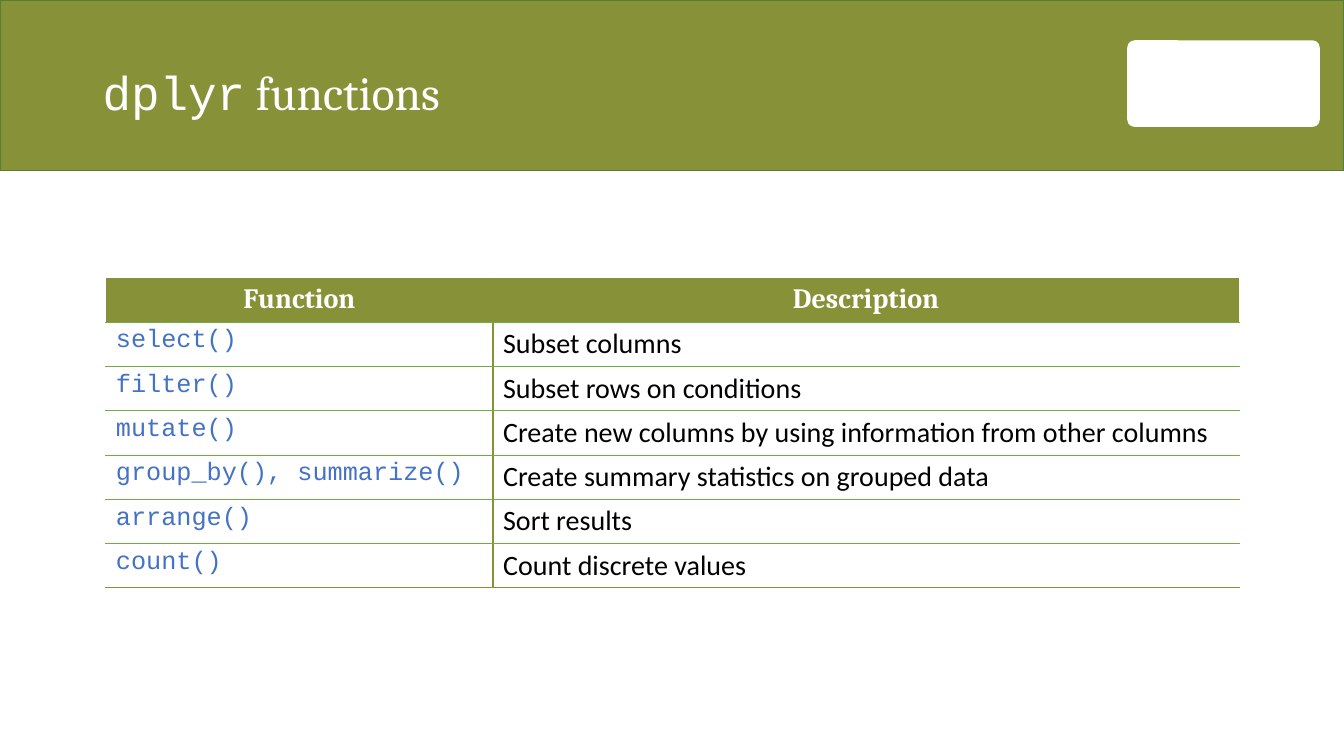
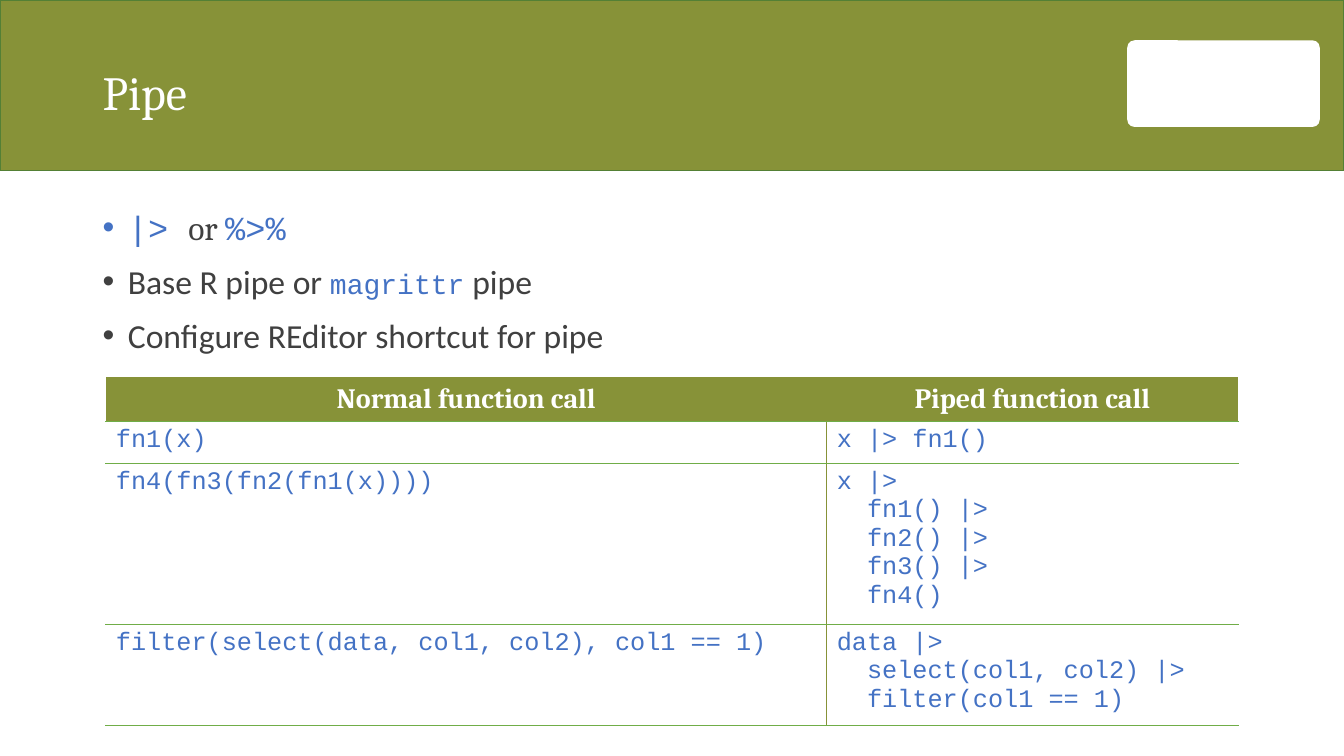
from pptx import Presentation as Deck
from pptx.dml.color import RGBColor as Rgb
from pptx.enum.shapes import MSO_SHAPE as Kind
from pptx.enum.text import MSO_ANCHOR as Anchor, PP_ALIGN as Align
from pptx.oxml.ns import qn
from pptx.util import Inches, Pt
from lxml.etree import SubElement as Sub

HUES = {
    "olive": "879238",
    "edge": "538035",
    "green": "70AD47",
    "blue": "4472C4",
    "gray": "404040",
    "white": "FFFFFF",
    "black": "000000",
}
SERIF, SANS, MONO = "Cambria", "Calibri", "Courier New"
TITLE = dict(font=SERIF, size=34, hue="white")
HEAD = dict(font=SERIF, size=20, hue="white", bold=True)
CODE = dict(font=MONO, size=18, hue="blue")
PLAIN = dict(font=SANS, size=20, hue="black")
BODY = dict(font=SANS, size=24, hue="gray")


def tint(name):
    return Rgb.from_string(HUES[name])


def write(par, text, font=SANS, size=20, hue="black", bold=False):
    run = par.add_run()
    run.text = text
    face = run.font
    face.name, face.size, face.bold = font, Pt(size), bold
    face.color.rgb = tint(hue)


def indent(par, left, first=0):
    props = par._p.get_or_add_pPr()
    props.set("marL", str(Inches(left)))
    props.set("indent", str(Inches(first)))
    return props


def border(cell, side, hue, width):
    line = Sub(cell._tc.get_or_add_tcPr(), qn("a:ln" + side), w=str(Pt(width)))
    fill = Sub(line, qn("a:solidFill"))
    Sub(fill, qn("a:srgbClr"), val=HUES[hue])


class Maker:
    def __init__(self):
        self.deck = Deck()
        self.deck.slide_width = Inches(13.33)
        self.deck.slide_height = Inches(7.5)
        self.slide = None

    def start(self, *title):
        self.slide = self.deck.slides.add_slide(self.deck.slide_layouts[6])
        self.block(Kind.RECTANGLE, 0, 0, 13.33, 1.69, "olive", "edge")
        card = self.block(Kind.ROUNDED_RECTANGLE, 11.18, 0.4, 1.91, 0.86, "white")
        card.adjustments[0] = 0.086
        frame = self.frame(0.92, 0.4, 10.01, 1.09)
        frame.vertical_anchor = Anchor.MIDDLE
        par = frame.paragraphs[0]
        par.line_spacing = 0.9
        for text, style in title:
            write(par, text, **style)

    def block(self, kind, x, y, w, h, fill, line=None):
        shape = self.slide.shapes.add_shape(
            kind, Inches(x), Inches(y), Inches(w), Inches(h))
        shape.shadow.inherit = False
        shape.fill.solid()
        shape.fill.fore_color.rgb = tint(fill)
        if line:
            shape.line.color.rgb = tint(line)
            shape.line.width = Pt(1)
        else:
            shape.line.fill.background()
        return shape

    def frame(self, x, y, w, h):
        box = self.slide.shapes.add_textbox(
            Inches(x), Inches(y), Inches(w), Inches(h))
        box.text_frame.word_wrap = True
        return box.text_frame

    def bullets(self, x, y, w, h, items):
        frame = self.frame(x, y, w, h)
        for i, runs in enumerate(items):
            par = frame.add_paragraph() if i else frame.paragraphs[0]
            par.space_before = Pt(10)
            props = indent(par, 0.25, -0.25)
            Sub(props, qn("a:buFont"), typeface="Arial")
            Sub(props, qn("a:buChar"), char="•")
            for text, style in runs:
                write(par, text, **style)

    def table(self, y, wide, high, rows, styles, foot):
        grid = self.slide.shapes.add_table(
            len(rows), len(wide), Inches(1.05), Inches(y),
            Inches(sum(wide)), Inches(sum(high))).table
        grid.first_row = grid.horz_banding = False
        for col, width in zip(grid.columns, wide):
            col.width = Inches(width)
        for row, height in zip(grid.rows, high):
            row.height = Inches(height)
        last = len(rows) - 1
        for r, row in enumerate(rows):
            for c, text in enumerate(row):
                cell = grid.cell(r, c)
                border(cell, "L" if c else "R", "olive", 1)
                border(cell, "T", *(("green", 0.5) if r else ("olive", 1)))
                border(cell, "B", *(foot if r == last else ("green", 0.5)))
                self.fill(cell, text, HEAD if r == 0 else styles[c], r == 0)

    def fill(self, cell, text, style, head):
        if head:
            cell.fill.solid()
            cell.fill.fore_color.rgb = tint("olive")
        else:
            cell.fill.background()
        frame = cell.text_frame
        for i, line in enumerate(text.split("\n")):
            par = frame.add_paragraph() if i else frame.paragraphs[0]
            if i:
                indent(par, 0.3)
            if head:
                par.alignment = Align.CENTER
            write(par, line, **style)


make = Maker()

make.start(("dplyr", {**TITLE, "font": MONO}), (" functions", TITLE))
verbs = [
    ("Function", "Description"),
    ("select()", "Subset columns"),
    ("filter()", "Subset rows on conditions"),
    ("mutate()", "Create new columns by using information from other columns"),
    ("group_by(), summarize()", "Create summary statistics on grouped data"),
    ("arrange()", "Sort results"),
    ("count()", "Count discrete values"),
]
make.table(2.76, [3.84, 7.4], [0.42] + [0.44] * 6, verbs,
           [CODE, PLAIN], ("olive", 1))

make.start(("Pipe", TITLE))
sign = {**CODE, "size": 24}
make.bullets(0.92, 2, 11.5, 1.7, [
    [("|> ", sign), ("or ", {**BODY, "font": SERIF}), ("%>%", sign)],
    [("Base R pipe or ", BODY), ("magrittr", {**CODE, "size": 20}),
     (" pipe", BODY)],
    [("Configure REditor shortcut for pipe", BODY)],
])
calls = [
    ("Normal function call", "Piped function call"),
    ("fn1(x)", "x |> fn1()"),
    ("fn4(fn3(fn2(fn1(x))))", "x |>\nfn1() |>\nfn2() |>\nfn3() |>\nfn4()"),
    ("filter(select(data, col1, col2), col1 == 1)",
     "data |>\nselect(col1, col2) |>\nfilter(col1 == 1)"),
]
make.table(3.75, [7.15, 4.08], [0.42, 0.41, 1.52, 0.95], calls,
           [CODE, CODE], ("green", 0.5))

make.deck.save("out.pptx")
